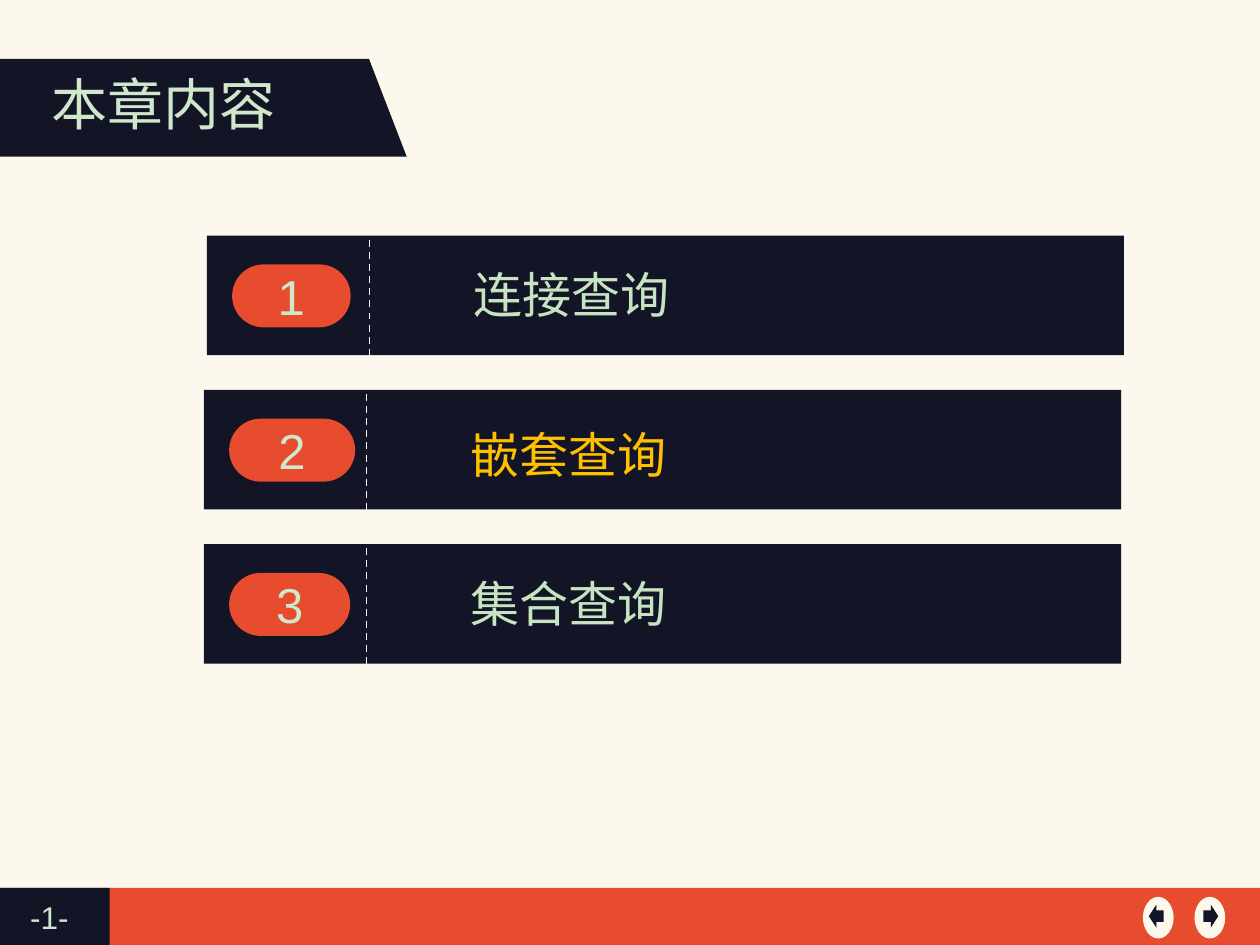
"""Build the chapter contents slide with three numbered topic bars."""
from lxml.etree import SubElement
from pptx import Presentation
from pptx.dml.color import RGBColor
from pptx.enum.dml import MSO_LINE
from pptx.enum.shapes import MSO_CONNECTOR, MSO_SHAPE
from pptx.enum.text import MSO_ANCHOR, MSO_AUTO_SIZE, PP_ALIGN
from pptx.oxml.ns import qn
from pptx.util import Cm, Pt

NAVY = RGBColor(0x13, 0x14, 0x26)
ORANGE = RGBColor(0xE7, 0x4C, 0x2E)
CREAM = RGBColor(0xFC, 0xF8, 0xED)
MINT = RGBColor(0xCF, 0xE8, 0xCC)
GREEN = RGBColor(0xC6, 0xE4, 0xC2)
GOLD = RGBColor(0xFF, 0xC0, 0x00)
LATIN, CHINESE = "Arial", "Noto Sans CJK SC"

TITLE = "本章内容"
PAGE_LABEL = "-1-"
TOPICS = [
    {"text": "连接查询", "color": GREEN, "left": 4.17, "badge_width": 2.39, "text_drop": 0.46},
    {"text": "嵌套查询", "color": GOLD, "left": 4.11, "badge_width": 2.54, "text_drop": 0.58},
    {"text": "集合查询", "color": GREEN, "left": 4.11, "badge_width": 2.44, "text_drop": 0.46},
]
NAVIGATION = [(23.04, 23.16, MSO_SHAPE.LEFT_ARROW), (24.08, 24.26, MSO_SHAPE.RIGHT_ARROW)]
FIRST_TOP, ROW_PITCH = 4.75, 3.11


def add_block(slide, kind, left, top, width, height, color):
    shape = slide.shapes.add_shape(kind, Cm(left), Cm(top), Cm(width), Cm(height))
    shape.shadow.inherit = False
    shape.fill.solid()
    shape.fill.fore_color.rgb = color
    shape.line.fill.background()
    return shape


def write(shape, text, size, font, color, alignment=PP_ALIGN.LEFT, anchor=MSO_ANCHOR.TOP):
    text_frame = shape.text_frame
    text_frame.text = text
    text_frame.word_wrap = True
    text_frame.vertical_anchor = anchor
    paragraph = text_frame.paragraphs[0]
    paragraph.alignment = alignment
    run = paragraph.runs[0]
    run.font.size = Pt(size)
    run.font.name = font
    run.font.color.rgb = color
    SubElement(run.font._element, qn("a:ea")).set("typeface", font)


def add_label(slide, left, top, width, height, *style):
    box = slide.shapes.add_textbox(Cm(left), Cm(top), Cm(width), Cm(height))
    write(box, *style)
    box.text_frame.auto_size = MSO_AUTO_SIZE.SHAPE_TO_FIT_TEXT


def add_divider(slide, left, top, length):
    divider = slide.shapes.add_connector(
        MSO_CONNECTOR.STRAIGHT, Cm(left), Cm(top), Cm(left), Cm(top + length))
    divider.line.color.rgb = CREAM
    divider.line.width = Pt(1)
    divider.line.dash_style = MSO_LINE.DASH
    SubElement(divider._element.spPr, qn("a:effectLst"))


def add_topic(slide, number, topic):
    left, top = topic["left"], FIRST_TOP + (number - 1) * ROW_PITCH
    add_block(slide, MSO_SHAPE.RECTANGLE, left, top, 18.49, 2.41, NAVY)
    add_divider(slide, left + 3.28, top + 0.08, 2.44)
    badge = add_block(slide, MSO_SHAPE.ROUNDED_RECTANGLE, left + 0.51, top + 0.58,
                      topic["badge_width"], 1.27, ORANGE)
    badge.adjustments[0] = 0.5
    write(badge, str(number), 28, LATIN, MINT, PP_ALIGN.CENTER, MSO_ANCHOR.MIDDLE)
    add_label(slide, left + 5.13, top + topic["text_drop"], 12.6, 1.45,
              topic["text"], 28, CHINESE, topic["color"])


def add_title(slide):
    add_block(slide, MSO_SHAPE.RECTANGLE, 0, 1.19, 7.44, 1.97, NAVY)
    add_block(slide, MSO_SHAPE.RIGHT_TRIANGLE, 7.44, 1.19, 0.76, 1.97, NAVY)
    title = slide.shapes.title
    title.left, title.top, title.width, title.height = Cm(0.79), Cm(1.27), Cm(5.03), Cm(1.63)
    write(title, TITLE, 32, CHINESE, MINT, PP_ALIGN.CENTER)
    title.text_frame.auto_size = MSO_AUTO_SIZE.SHAPE_TO_FIT_TEXT
    slide.shapes._spTree.append(title._element)


def add_footer(slide):
    add_block(slide, MSO_SHAPE.RECTANGLE, 0, 17.9, 25.4, 1.15, ORANGE)
    add_block(slide, MSO_SHAPE.RECTANGLE, 0, 17.9, 2.21, 1.15, NAVY)
    add_label(slide, 0.36, 17.98, 1.63, 1.02, PAGE_LABEL, 18, LATIN, MINT)
    for button_left, arrow_left, arrow in NAVIGATION:
        add_block(slide, MSO_SHAPE.OVAL, button_left, 18.08, 0.62, 0.84, CREAM)
        add_block(slide, arrow, arrow_left, 18.24, 0.3, 0.46, NAVY)


def main():
    presentation = Presentation()
    presentation.slide_width, presentation.slide_height = Cm(25.4), Cm(19.05)
    slide = presentation.slides.add_slide(presentation.slide_layouts[5])
    slide.background.fill.solid()
    slide.background.fill.fore_color.rgb = CREAM
    add_footer(slide)
    add_title(slide)
    for number, topic in enumerate(TOPICS, start=1):
        add_topic(slide, number, topic)
    presentation.save("out.pptx")


if __name__ == "__main__":
    main()
